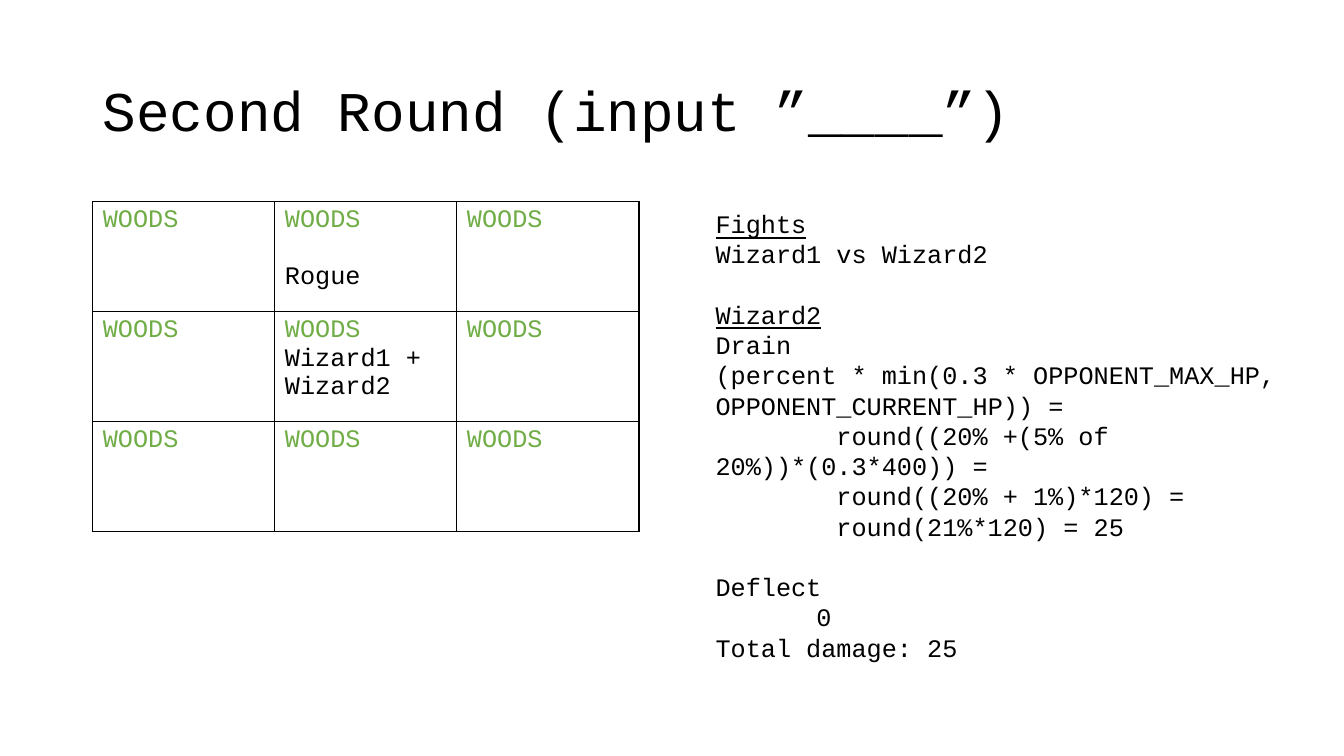
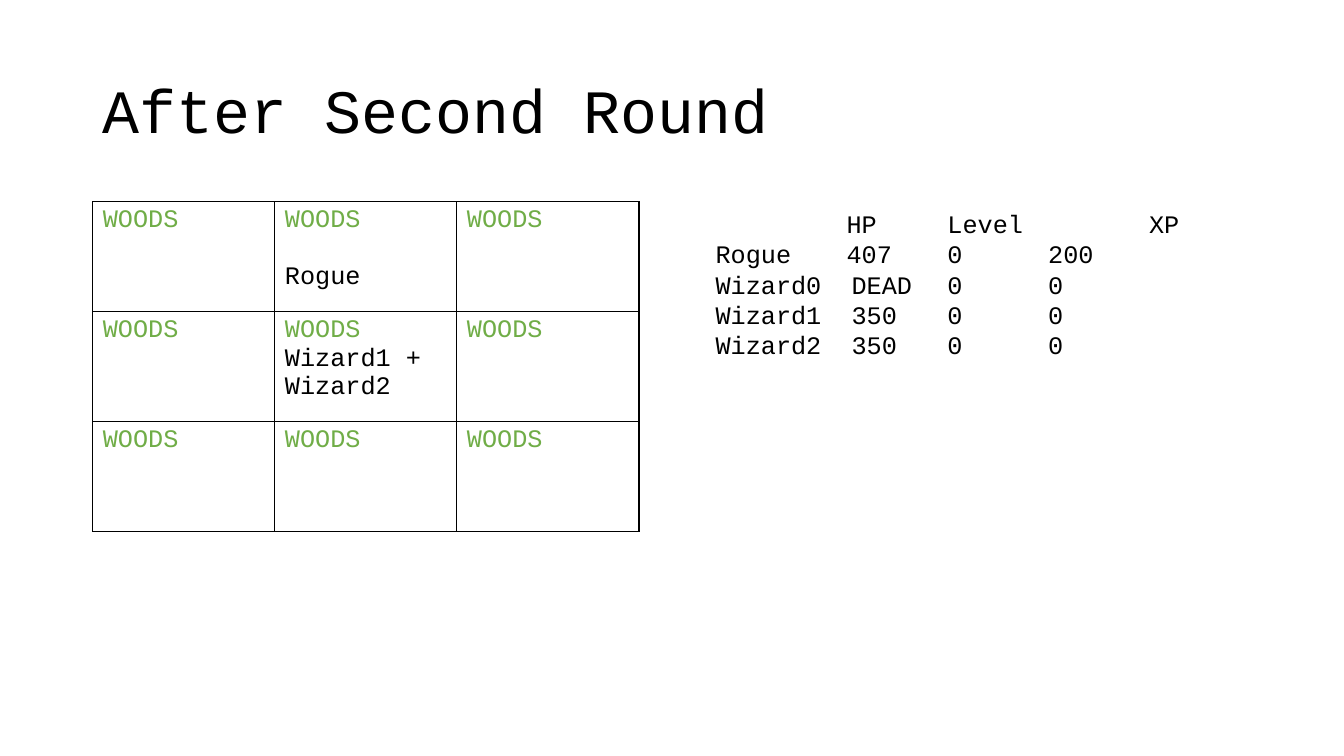
import pptx
import pptx.dml.color
import pptx.enum.text
import pptx.oxml
import pptx.oxml.ns
import pptx.util

FONT = "Courier New"
BLACK, WOODS_GREEN = "000000", "70AD47"
BODY_SIZE = 18
BODY_LEADING = 21.6
CELL_LEADING = 20.4
SLIDE_WIDTH, SLIDE_HEIGHT = pptx.util.Inches(13.33), pptx.util.Inches(7.5)

# Boxes: left, top, width, height in percent of the slide
TITLE_BOX = (6.9, 5.33, 86.25, 19.33)
MAP_BOX = (6.9, 26.67, 40.65, 43.6)
FIGHTS_BOX = (52.5, 26.93, 45, 66)
STATS_BOX = (52.5, 26.93, 43.35, 21.6)

# Occupants of each map cell, with the blank lines above them
OCCUPANTS = {(0, 1): ("Rogue", 1), (1, 1): ("Wizard1 + Wizard2", 0)}
MAP_SIZE = 3

# Text, first-line indent in inches, underlined, blank lines above
FIGHT_LINES = [
    ("Fights", 0, True, 0),
    ("Wizard1 vs Wizard2", 0, False, 0),
    ("Wizard2", 0, True, 1),
    ("Drain", 0, False, 0),
    ("(percent * min(0.3 * OPPONENT_MAX_HP, OPPONENT_CURRENT_HP)) =", 0, False, 0),
    ("round((20% +(5% of 20%))*(0.3*400)) =", 1.2, False, 0),
    ("round((20% + 1%)*120) =", 1.2, False, 0),
    ("round(21%*120) = 25", 1.2, False, 0),
    ("Deflect", 0, False, 1),
    ("0", 1, False, 0),
    ("Total damage: 25", 0, False, 0),
]

# Tab stops in inches, then the values of the row
HEADER_TABS, ROGUE_TABS, WIZARD_TABS = (1.3, 2.3, 4.3), (1.3, 2.3, 3.3), (1.35, 2.3, 3.3)
STATS_ROWS = [
    (HEADER_TABS, ("", "HP", "Level", "XP")),
    (ROGUE_TABS, ("Rogue", "407", "0", "200")),
    (WIZARD_TABS, ("Wizard0", "DEAD", "0", "0")),
    (WIZARD_TABS, ("Wizard1", "350", "0", "0")),
    (WIZARD_TABS, ("Wizard2", "350", "0", "0")),
]


def rgb(color):
    return pptx.dml.color.RGBColor.from_string(color)


def to_slide(box):
    """Turn percentages of the slide into lengths."""
    sides = (SLIDE_WIDTH, SLIDE_HEIGHT) * 2
    return [round(side * share / 100) for side, share in zip(sides, box)]


def drawing_element(tag, **attributes):
    element = pptx.oxml.parse_xml(f"<a:{tag} {pptx.oxml.ns.nsdecls('a')}/>")
    for key, value in attributes.items():
        element.set(key, str(value))
    return element


def style(paragraph, size=BODY_SIZE, color=BLACK, underline=False):
    font = paragraph.font
    font.name, font.size = FONT, pptx.util.Pt(size)
    font.color.rgb = rgb(color)
    if underline:
        font.underline = True


def add_text_frame(slide, box):
    frame = slide.shapes.add_textbox(*to_slide(box)).text_frame
    frame.word_wrap = True
    return frame


def paragraphs(frame, count):
    """Yield the frame's first paragraph and as many new ones as needed."""
    yield frame.paragraphs[0]
    for _ in range(count - 1):
        yield frame.add_paragraph()


def add_title(slide, box, title, size):
    frame = add_text_frame(slide, box)
    frame.vertical_anchor = pptx.enum.text.MSO_ANCHOR.MIDDLE
    heading = frame.paragraphs[0]
    heading.text = title
    heading.line_spacing = 0.9
    style(heading, size)


def add_cell_borders(cell):
    properties = cell._tc.get_or_add_tcPr()
    for side in ("lnL", "lnR", "lnT", "lnB"):
        border = drawing_element(side, w=pptx.util.Pt(1))
        fill = drawing_element("solidFill")
        fill.append(drawing_element("srgbClr", val=BLACK))
        border.append(fill)
        properties.append(border)


def add_map(slide, box):
    board = slide.shapes.add_table(MAP_SIZE, MAP_SIZE, *to_slide(box)).table
    board.first_row = board.horz_banding = False
    for row in range(MAP_SIZE):
        for column in range(MAP_SIZE):
            cell = board.cell(row, column)
            add_cell_borders(cell)
            cell.fill.background()
            terrain = cell.text_frame.paragraphs[0]
            terrain.text = "WOODS"
            style(terrain, color=WOODS_GREEN)
            if (row, column) in OCCUPANTS:
                name, blank_lines = OCCUPANTS[row, column]
                occupant = cell.text_frame.add_paragraph()
                occupant.text = name
                occupant.space_before = pptx.util.Pt(CELL_LEADING * blank_lines)
                style(occupant)


def add_fights(slide, box):
    frame = add_text_frame(slide, box)
    for line, (text, indent, underline, blank_lines) in zip(
            paragraphs(frame, len(FIGHT_LINES)), FIGHT_LINES):
        line.text = text
        line.line_spacing = pptx.util.Pt(BODY_LEADING)
        if blank_lines:
            line.space_before = pptx.util.Pt(BODY_LEADING * blank_lines)
        if indent:
            properties = line._p.get_or_add_pPr()
            properties.set("marL", "0")
            properties.set("indent", str(pptx.util.Inches(indent)))
        style(line, underline=underline)


def add_stats(slide, box):
    frame = add_text_frame(slide, box)
    for line, (tabs, values) in zip(paragraphs(frame, len(STATS_ROWS)), STATS_ROWS):
        line.text = "\t".join(values)
        line.line_spacing = pptx.util.Pt(BODY_LEADING)
        stops = drawing_element("tabLst")
        for position in tabs:
            stops.append(drawing_element("tab", pos=pptx.util.Inches(position), algn="l"))
        line._p.get_or_add_pPr().append(stops)
        style(line)


def add_round_slide(deck, title, title_size):
    """Add a slide with the title and the map that all rounds share."""
    slide = deck.slides.add_slide(deck.slide_layouts[6])
    add_title(slide, TITLE_BOX, title, title_size)
    add_map(slide, MAP_BOX)
    return slide


def main():
    deck = pptx.Presentation()
    deck.slide_width, deck.slide_height = SLIDE_WIDTH, SLIDE_HEIGHT
    add_fights(add_round_slide(deck, "Second Round (input ”____”)", 40), FIGHTS_BOX)
    add_stats(add_round_slide(deck, "After Second Round", 44), STATS_BOX)
    deck.save("out.pptx")


if __name__ == "__main__":
    main()
